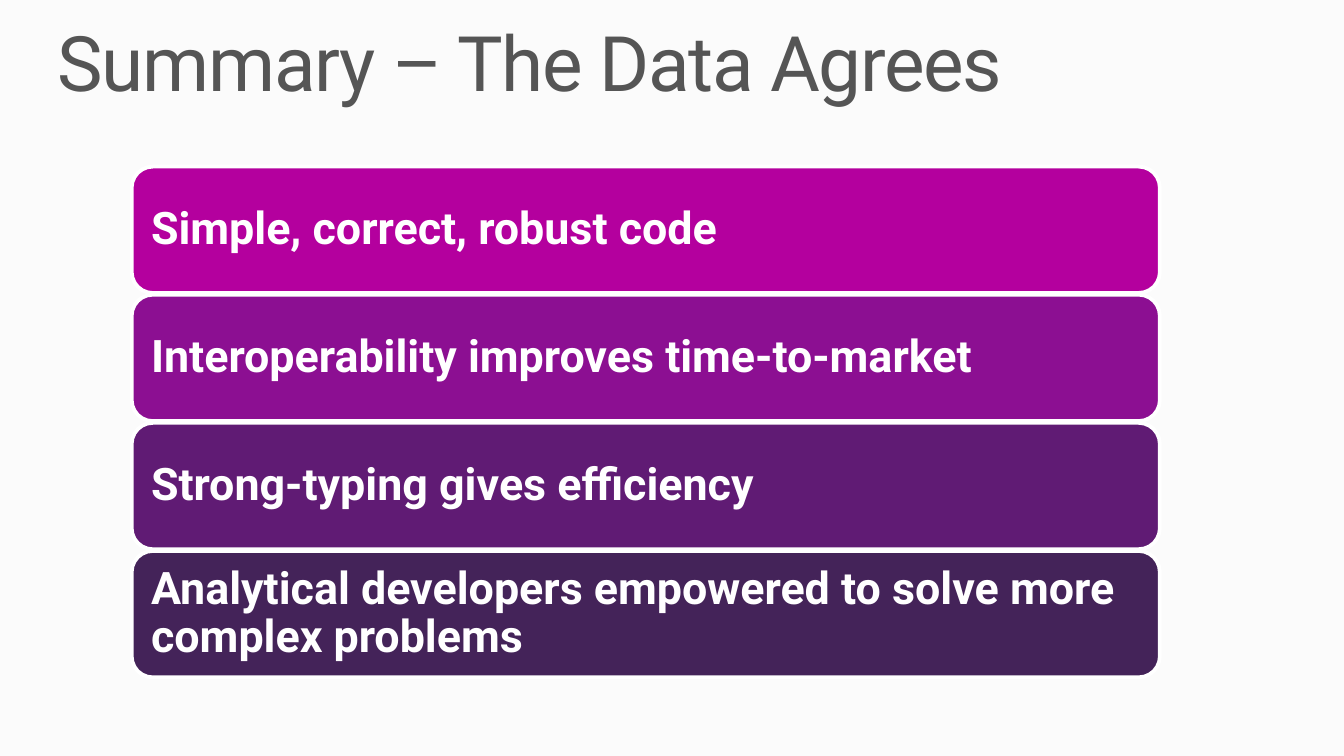
from dataclasses import dataclass

from pptx import Presentation
from pptx import util as u
from pptx.dml.color import RGBColor
from pptx.enum import shapes, text

WIDTH = u.Inches(10)
HEIGHT = WIDTH * 9 // 16
FONT = "Roboto"
COLOURS = {
    "background": "FBFBFB",
    "title": "555555",
    "white": "FFFFFF",
    "magenta": "B4009E",
    "purple": "8C0F92",
    "violet": "601B74",
    "plum": "442359",
}


@dataclass(frozen=True)
class Benefit:
    wording: str
    colour: str


@dataclass(frozen=True)
class Column:
    left: float
    top: float
    width: float
    height: float
    pitch: float


BENEFITS = [
    Benefit("Simple, correct, robust code", "magenta"),
    Benefit("Interoperability improves time-to-market", "purple"),
    Benefit("Strong-typing gives efficiency", "violet"),
    Benefit("Analytical developers empowered to solve more complex problems", "plum"),
]
BARS = Column(left=0.98, top=1.24, width=7.65, height=0.94, pitch=(4.1 - 1.24) / 3)


def rgb(name: str) -> RGBColor:
    return RGBColor.from_string(COLOURS[name])


def write(frame, wording: str, size: float, colour: str, bold: bool, inset: float):
    frame.word_wrap = True
    frame.margin_left = frame.margin_right = u.Inches(inset)
    frame.margin_top = frame.margin_bottom = u.Inches(inset)
    paragraph = frame.paragraphs[0]
    run = paragraph.add_run()
    run.text = wording
    paragraph.alignment = text.PP_ALIGN.LEFT
    paragraph.line_spacing = 0.9
    paragraph.font.name = FONT
    paragraph.font.size = u.Pt(size)
    paragraph.font.bold = bold
    paragraph.font.color.rgb = rgb(colour)
    return run


def draw_title(slide, wording: str) -> None:
    title = slide.shapes.add_textbox(
        u.Inches(0.43), u.Inches(0.19), u.Inches(9.15), u.Inches(0.62))
    run = write(title.text_frame, wording, 41, "title", False, 0)
    run._r.get_or_add_rPr().set("spc", "-75")


def draw_benefit(slide, benefit: Benefit, row: int) -> None:
    bar = slide.shapes.add_shape(
        shapes.MSO_SHAPE.ROUNDED_RECTANGLE,
        u.Inches(BARS.left), u.Inches(BARS.top + row * BARS.pitch),
        u.Inches(BARS.width), u.Inches(BARS.height))
    bar.shadow.inherit = False
    bar.fill.solid()
    bar.fill.fore_color.rgb = rgb(benefit.colour)
    bar.line.color.rgb = rgb("white")
    bar.line.width = u.Pt(2)
    bar.text_frame.vertical_anchor = text.MSO_ANCHOR.MIDDLE
    write(bar.text_frame, benefit.wording, 24, "white", True, 0.1)


def main() -> None:
    deck = Presentation()
    deck.slide_width, deck.slide_height = WIDTH, HEIGHT
    slide = deck.slides.add_slide(deck.slide_layouts[6])
    slide.background.fill.solid()
    slide.background.fill.fore_color.rgb = rgb("background")
    draw_title(slide, "Summary – The Data Agrees")
    for row, benefit in enumerate(BENEFITS):
        draw_benefit(slide, benefit, row)
    deck.save("out.pptx")


if __name__ == "__main__":
    main()
